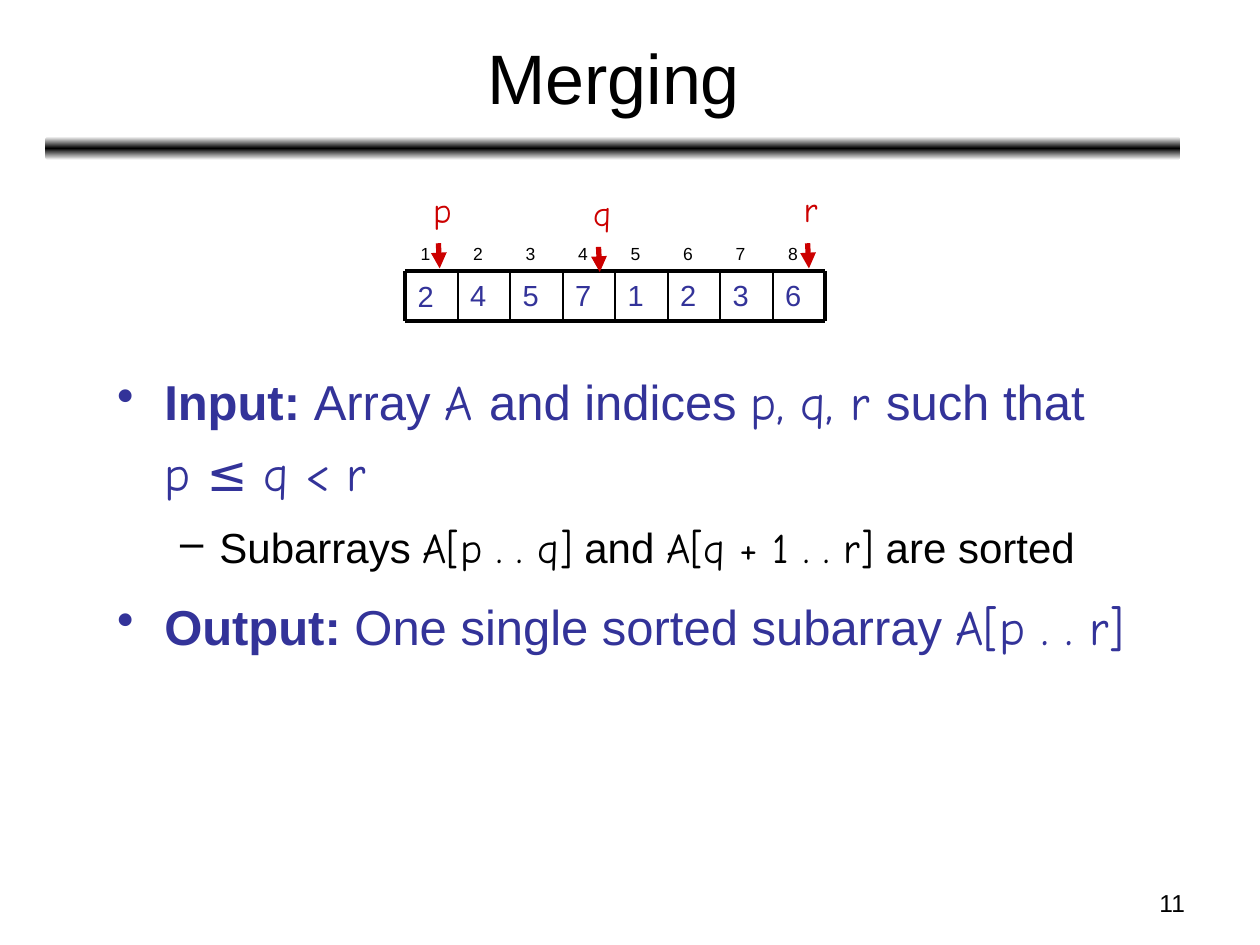
from copy import deepcopy

from pptx import Presentation
from pptx.dml.color import RGBColor
from pptx.enum.shapes import MSO_CONNECTOR, MSO_SHAPE
from pptx.enum.text import MSO_ANCHOR, PP_ALIGN
from pptx.oxml.ns import qn
from pptx.oxml.xmlchemy import OxmlElement
from pptx.util import Pt

BLACK = RGBColor(0x00, 0x00, 0x00)
WHITE = RGBColor(0xFF, 0xFF, 0xFF)
BLUE = RGBColor(0x33, 0x33, 0x99)
RED = RGBColor(0xCC, 0x00, 0x00)
SANS, HAND = "Arial", "Comic Neue"
LEFT, CENTER, RIGHT = PP_ALIGN.LEFT, PP_ALIGN.CENTER, PP_ALIGN.RIGHT
TOP, MIDDLE = MSO_ANCHOR.TOP, MSO_ANCHOR.MIDDLE
STRAIGHT = MSO_CONNECTOR.STRAIGHT

# Content
TITLE = "Merging"
PAGE = "11"
VALUES = [2, 4, 5, 7, 1, 2, 3, 6]
# name, label left, label top, arrow left, arrow top
POINTERS = [
    ("p", 240.5, 104.4, 250.5, 139),
    ("r", 452.2, 103.7, 461.5, 139),
    ("q", 331.9, 105.8, 342, 141.1),
]
# level, then runs of (text, font, bold); "\v" breaks the line
POINTS = [
    (0, [("Input: ", SANS, True), ("Array ", SANS, False), ("A ", HAND, False),
         ("and indices ", SANS, False), ("p, q, r ", HAND, False),
         ("such that", SANS, False), ("\vp ≤ q < r", HAND, False)]),
    (1, [("Subarrays ", SANS, False), ("A[p . . q]", HAND, False),
         (" and ", SANS, False), ("A[q + 1 . . r]", HAND, False),
         (" are sorted", SANS, False)]),
    (0, [("Output: ", SANS, True), ("One single sorted subarray ", SANS, False),
         ("A[p . . r]", HAND, False)]),
]
# bullet, size, colour, left margin, hanging indent, space before
LEVELS = [("•", 28, BLUE, 27, 27, 7), ("–", 24, BLACK, 58.5, 22.5, 6)]

# Array grid
ARRAY_LEFT, ARRAY_TOP, CELL_W, CELL_H = 231.6, 154.8, 30, 28.8
ARRAY_RIGHT = ARRAY_LEFT + CELL_W * len(VALUES)
ARRAY_BOTTOM = ARRAY_TOP + CELL_H
THICK, THIN = 2.25, 1

prs = Presentation()
prs.slide_width, prs.slide_height = Pt(720), Pt(540)
slide = prs.slides.add_slide(prs.slide_layouts[6])
shapes = slide.shapes


def add_text(text, left, top, width, height, size, color, font=SANS,
             align=LEFT, anchor=TOP, wrap=True, before=0):
    frame = shapes.add_textbox(Pt(left), Pt(top), Pt(width), Pt(height)).text_frame
    frame.word_wrap = wrap
    frame.vertical_anchor = anchor
    line = frame.paragraphs[0]
    line.text = text
    line.alignment = align
    line.space_before = Pt(before)
    line.font.size, line.font.name = Pt(size), font
    line.font.color.rgb = color


def add_line(x1, y1, x2, y2, color, width, arrow=False):
    line = shapes.add_connector(STRAIGHT, Pt(x1), Pt(y1), Pt(x2), Pt(y2))
    line.line.color.rgb = color
    line.line.width = Pt(width)
    if arrow:
        head = OxmlElement("a:tailEnd")
        head.set("type", "triangle")
        line.line._get_or_add_ln().append(head)
    line._element.spPr.append(OxmlElement("a:effectLst"))


def add_bullet(paragraph, mark, color, margin, hanging):
    props = paragraph._p.get_or_add_pPr()
    props.set("marL", str(Pt(margin)))
    props.set("indent", str(-Pt(hanging)))
    bullet_color = OxmlElement("a:buClr")
    rgb = OxmlElement("a:srgbClr")
    rgb.set("val", str(color))
    bullet_color.append(rgb)
    bullet = OxmlElement("a:buChar")
    bullet.set("char", mark)
    props.extend([bullet_color, bullet])


# Divider bar, fading to white above and below
bar = shapes.add_shape(MSO_SHAPE.ROUNDED_RECTANGLE, Pt(26), Pt(78), Pt(648.5), Pt(13.5))
bar.shadow.inherit = False
bar.line.fill.background()
bar.fill.gradient()
bar.fill.gradient_angle = 90
stop_list = bar._element.spPr.find(".//" + qn("a:gsLst"))
stop_list.insert(1, deepcopy(stop_list[0]))
for stop, position, color in zip(bar.fill.gradient_stops, (0, 0.5, 1), (WHITE, BLACK, WHITE)):
    stop.position = position
    stop.color.rgb = color

# Title and page number
add_text(PAGE, 516.2, 504, 168, 25.2, 14, BLACK, align=RIGHT)
add_text(TITLE, 26.6, 7.9, 648, 71.3, 40, BLACK, align=CENTER, anchor=MIDDLE)

# Bullet points
body = shapes.add_textbox(Pt(59.8), Pt(202.3), Pt(609.1), Pt(211)).text_frame
body.word_wrap = True
for number, (level, runs) in enumerate(POINTS):
    mark, size, color, margin, hanging, before = LEVELS[level]
    point = body.add_paragraph() if number else body.paragraphs[0]
    point.level = level
    point.line_spacing = 1.2
    point.space_before = Pt(before)
    add_bullet(point, mark, color, margin, hanging)
    for text, font, bold in runs:
        if text.startswith("\v"):
            point.add_line_break()
        run = point.add_run()
        run.text = text.lstrip("\v")
        run.font.name, run.font.size, run.font.bold = font, Pt(size), bold
        run.font.color.rgb = color

# Array: indices above, values in cells
for column, value in enumerate(VALUES):
    x = ARRAY_LEFT + column * CELL_W
    add_text(str(column + 1), x + 1.7, 135.4, 18, 19.4, 10, BLACK)
    add_text(str(value), x, ARRAY_TOP, CELL_W, CELL_H, 16.6, BLUE, before=4.5,
             anchor=TOP if column else MIDDLE)

# Array borders
for y in (ARRAY_TOP, ARRAY_BOTTOM):
    add_line(ARRAY_LEFT, y, ARRAY_RIGHT, y, BLACK, THICK)
for edge in range(len(VALUES) + 1):
    x = ARRAY_LEFT + edge * CELL_W
    add_line(x, ARRAY_TOP, x, ARRAY_BOTTOM, BLACK,
             THICK if edge in (0, len(VALUES)) else THIN)

# Index pointers
for name, label_x, label_y, arrow_x, arrow_y in POINTERS:
    add_line(arrow_x, arrow_y, arrow_x + 0.75, arrow_y + 14.4, RED, 3, arrow=True)
    add_text(name, label_x, label_y, 24.5, 31.7, 20, RED, font=HAND, wrap=False)

prs.save("out.pptx")
